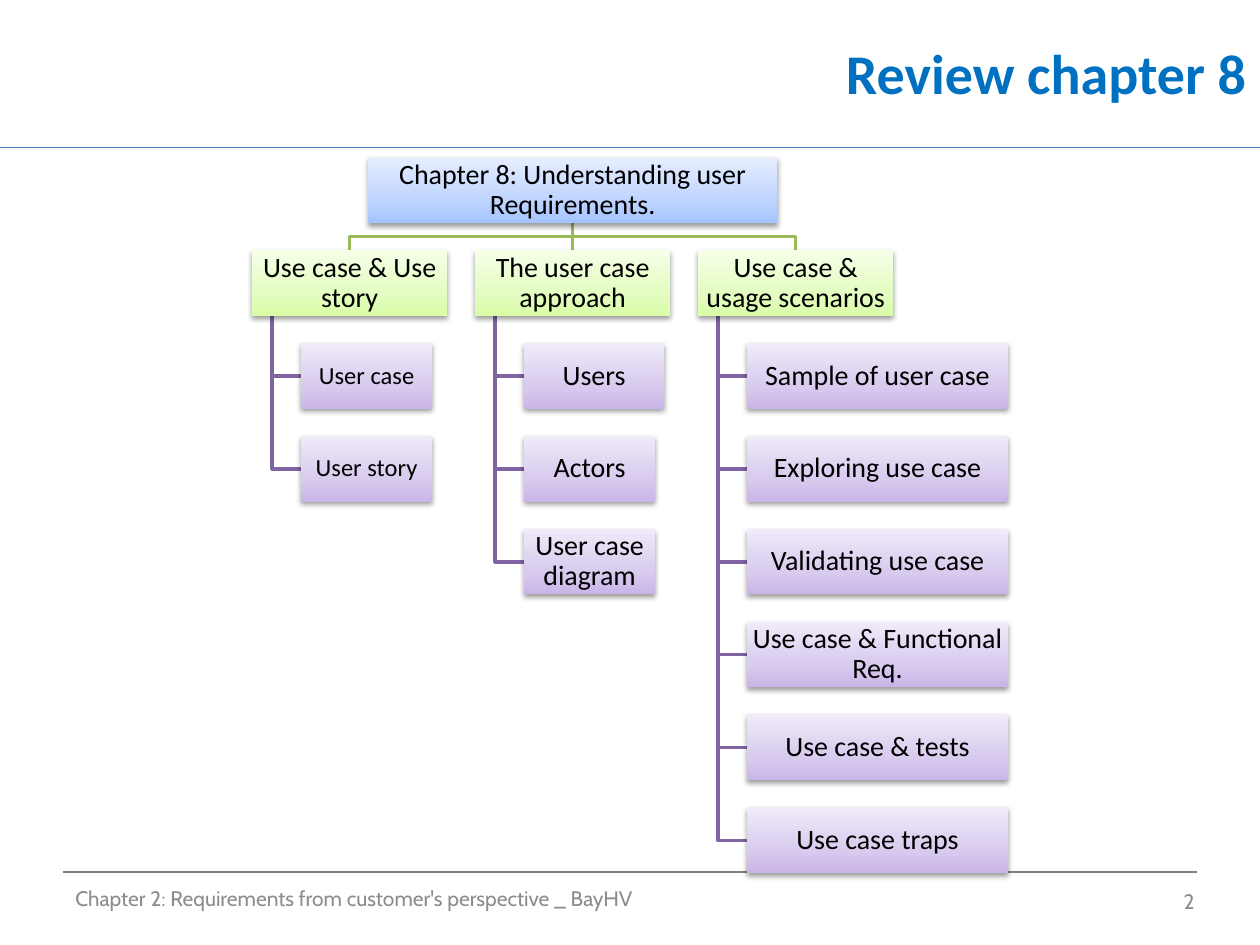
from lxml import etree
from copy import deepcopy
from pptx import Presentation
from pptx import util as u
from pptx.dml.color import RGBColor
from pptx.enum import shapes, text
from pptx.oxml.ns import qn

THEME = {
    "title": "0070C0", "title_rule": "4B7EBC", "footer_rule": "808080",
    "footer": "8C8C8C", "ink": "000000", "branch": "9BBB59", "twig": "8064A2",
    "root_fill": ("A4C4FF", "BFD4FF", "E6EEFF"),
    "topic_fill": ("DAFDA7", "E4FCC2", "F5FFE7"),
    "leaf_fill": ("C9B5E8", "D8CBEE", "F0EAF9"),
    "body_font": "Calibri", "footer_font": "Cabin",
    "title_size": 32, "box_size": 16, "small_size": 14, "footer_size": 12,
}

# Grid of the tree, in inches
TOP, BOX_H = 1.25, 0.52
ROW = (6.41 - TOP) / 7
LEFT, COLUMN = 2, 1.77
ROOT_LEFT, ROOT_W, TOPIC_W = 2.92, 3.25, 1.55
STEM, LEAF_INDENT = 0.16, 0.39

# Topic, type size of its leaves, and each leaf with its width
TOPICS = [
    ("Use case & Use story", "small_size",
     [("User case", 1.04), ("User story", 1.04)]),
    ("The user case approach", "box_size",
     [("Users", 1.11), ("Actors", 1.04), ("User case diagram", 1.04)]),
    ("Use case & usage scenarios", "box_size",
     [(leaf, 2.07) for leaf in (
         "Sample of user case", "Exploring use case", "Validating use case",
         "Use case & Functional Req.", "Use case & tests", "Use case traps")]),
]

deck = Presentation()
deck.slide_width, deck.slide_height = u.Inches(10), u.Inches(7.5)
page = deck.slides.add_slide(deck.slide_layouts[6])


def write(shape, words, size, color, font, align, bold=False):
    frame = shape.text_frame
    frame.text = words
    frame.word_wrap = True
    frame.vertical_anchor = text.MSO_ANCHOR.MIDDLE
    para = frame.paragraphs[0]
    para.alignment = align
    span = para.runs[0].font
    span.name, span.size, span.bold = THEME[font], u.Pt(THEME[size]), bold
    span.color.rgb = RGBColor.from_string(THEME[color])


def style_line(shape, color, width):
    shape.line.color.rgb = RGBColor.from_string(THEME[color])
    shape.line.width = u.Pt(width)
    properties = shape._element.spPr
    if properties.find(qn("a:effectLst")) is None:
        etree.SubElement(properties, qn("a:effectLst"))


# Rules under the title and above the footer
for left, right, y, color in ((0, 10, 1.17, "title_rule"),
                              (0.5, 9.5, 6.92, "footer_rule")):
    rule = page.shapes.add_connector(
        shapes.MSO_CONNECTOR.STRAIGHT,
        u.Inches(left), u.Inches(y), u.Inches(right), u.Inches(y))
    style_line(rule, color, 0.75)

# Title, footer and page number
for words, place, size, color, font, align, bold in (
        ("Review chapter 8", (2.9, 0, 7.09, 1.15),
         "title_size", "title", "body_font", text.PP_ALIGN.RIGHT, True),
        ("Chapter 2: Requirements from customer's perspective _ BayHV",
         (0.5, 6.93, 6.67, 0.4),
         "footer_size", "footer", "footer_font", text.PP_ALIGN.LEFT, False),
        ("2", (7.25, 6.95, 2.33, 0.4),
         "footer_size", "footer", "footer_font", text.PP_ALIGN.RIGHT, False)):
    box = page.shapes.add_textbox(*map(u.Inches, place))
    write(box, words, size, color, font, align, bold)

# Lay the tree out: boxes and the bent lines between them
boxes = [("Chapter 8: Understanding user Requirements.",
          ROOT_LEFT, TOP, ROOT_W, "root_fill", "box_size")]
bends = []
root_x, root_bottom = ROOT_LEFT + ROOT_W / 2, TOP + BOX_H
topic_y = TOP + ROW
bar_y = (root_bottom + topic_y) / 2
for column, (topic, leaf_size, leaves) in enumerate(TOPICS):
    x = LEFT + column * COLUMN
    boxes.append((topic, x, topic_y, TOPIC_W, "topic_fill", "box_size"))
    middle = x + TOPIC_W / 2
    if column != 1:
        bends.append(("branch", [(root_x, root_bottom), (root_x, bar_y),
                                 (middle, bar_y), (middle, topic_y)]))
    for row, (leaf, width) in enumerate(leaves, start=2):
        y = TOP + row * ROW
        boxes.append((leaf, x + LEAF_INDENT, y, width, "leaf_fill", leaf_size))
        bends.append(("twig", [(x + STEM, topic_y + BOX_H),
                               (x + STEM, y + BOX_H / 2),
                               (x + LEAF_INDENT, y + BOX_H / 2)]))

# Lines first, so that the boxes lie over them
for color, points in bends:
    (start_x, start_y), *rest = [(u.Inches(x), u.Inches(y)) for x, y in points]
    builder = page.shapes.build_freeform(start_x, start_y)
    builder.add_line_segments(rest, close=False)
    bend = builder.convert_to_shape()
    bend.shadow.inherit = False
    bend.fill.background()
    style_line(bend, color, 2)
trunk = page.shapes.add_connector(
    shapes.MSO_CONNECTOR.STRAIGHT, u.Inches(root_x), u.Inches(root_bottom),
    u.Inches(root_x), u.Inches(topic_y))
style_line(trunk, "branch", 2)

# Boxes with gradient, soft shadow and label
drawn = {}
for words, x, y, width, fill, size in boxes:
    box = page.shapes.add_shape(
        shapes.MSO_SHAPE.RECTANGLE,
        u.Inches(x), u.Inches(y), u.Inches(width), u.Inches(BOX_H))
    drawn[words] = box
    box.line.fill.background()
    box.fill.gradient()
    box.fill.gradient_angle = 90
    stop_list = box._element.spPr.find(".//" + qn("a:gsLst"))
    stop_list.insert(1, deepcopy(stop_list[0]))
    for stop, color, position in zip(box.fill.gradient_stops,
                                     THEME[fill], (0, 0.35, 1)):
        stop.color.rgb = RGBColor.from_string(color)
        stop.position = position

    box.shadow.inherit = False
    effects = box._element.spPr.find(qn("a:effectLst"))
    shadow = etree.SubElement(effects, qn("a:outerShdw"), blurRad="40000",
                              dist="20000", dir="5400000", rotWithShape="0")
    shade = etree.SubElement(shadow, qn("a:srgbClr"), val=THEME["ink"])
    etree.SubElement(shade, qn("a:alpha"), val="38000")

    write(box, words, size, "ink", "body_font", text.PP_ALIGN.CENTER)
    frame = box.text_frame
    frame.margin_left = frame.margin_right = u.Inches(0.01)
    frame.margin_top = frame.margin_bottom = u.Inches(0.01)
    frame.paragraphs[0].line_spacing = 0.9

# Join the straight trunk to the root and the middle topic
trunk.begin_connect(drawn[boxes[0][0]], 2)
trunk.end_connect(drawn[TOPICS[1][0]], 0)

deck.save("out.pptx")
